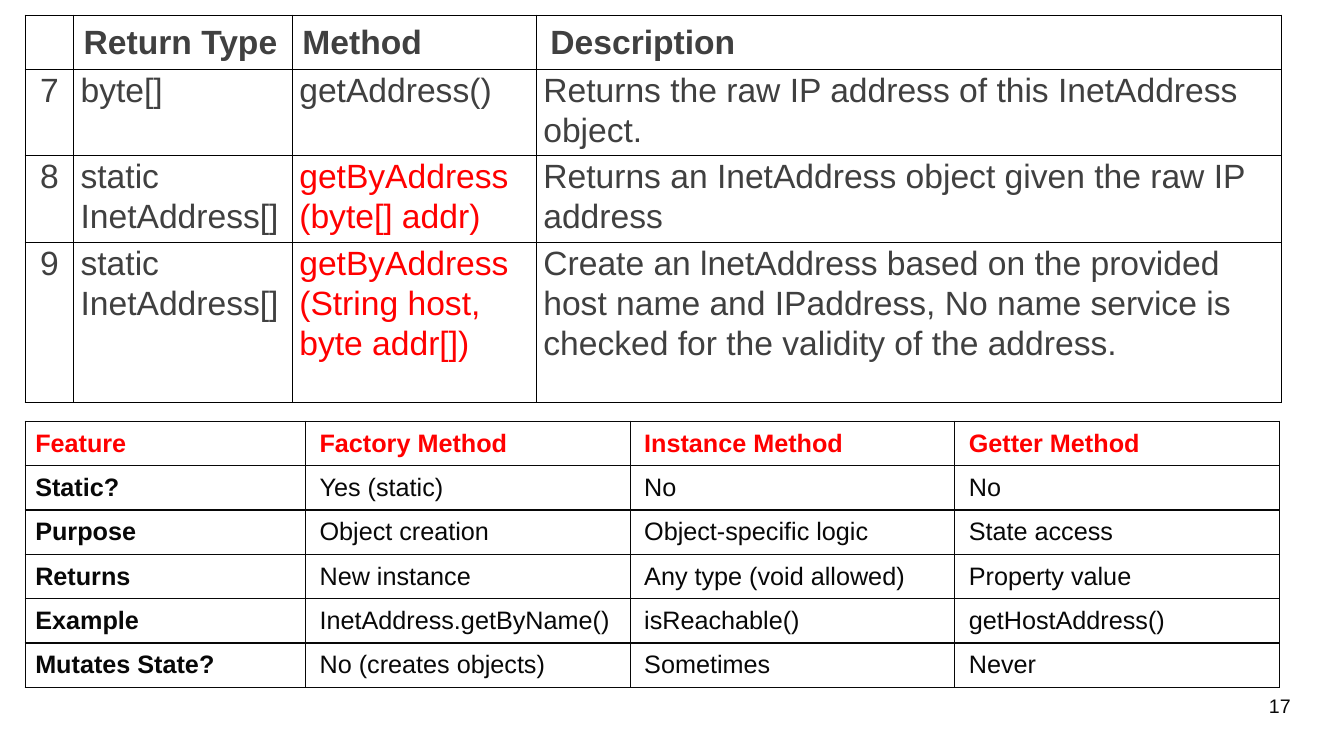
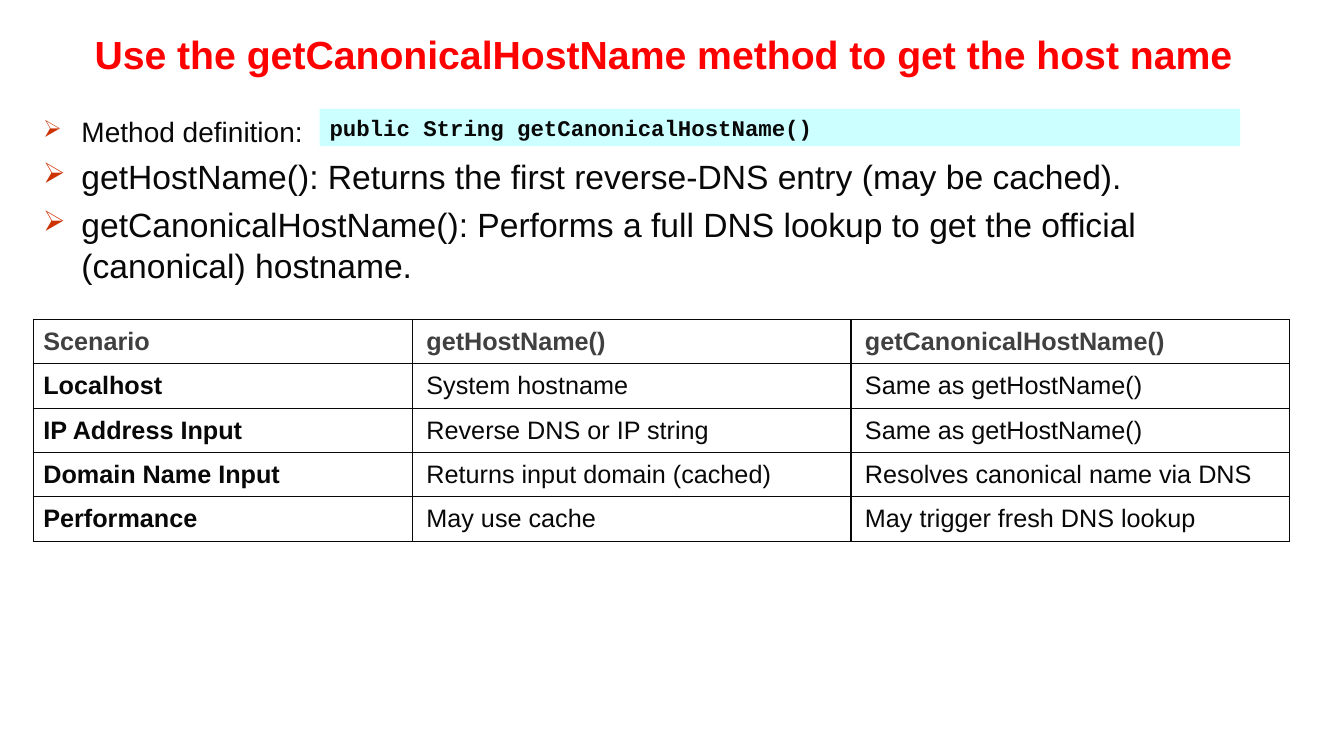
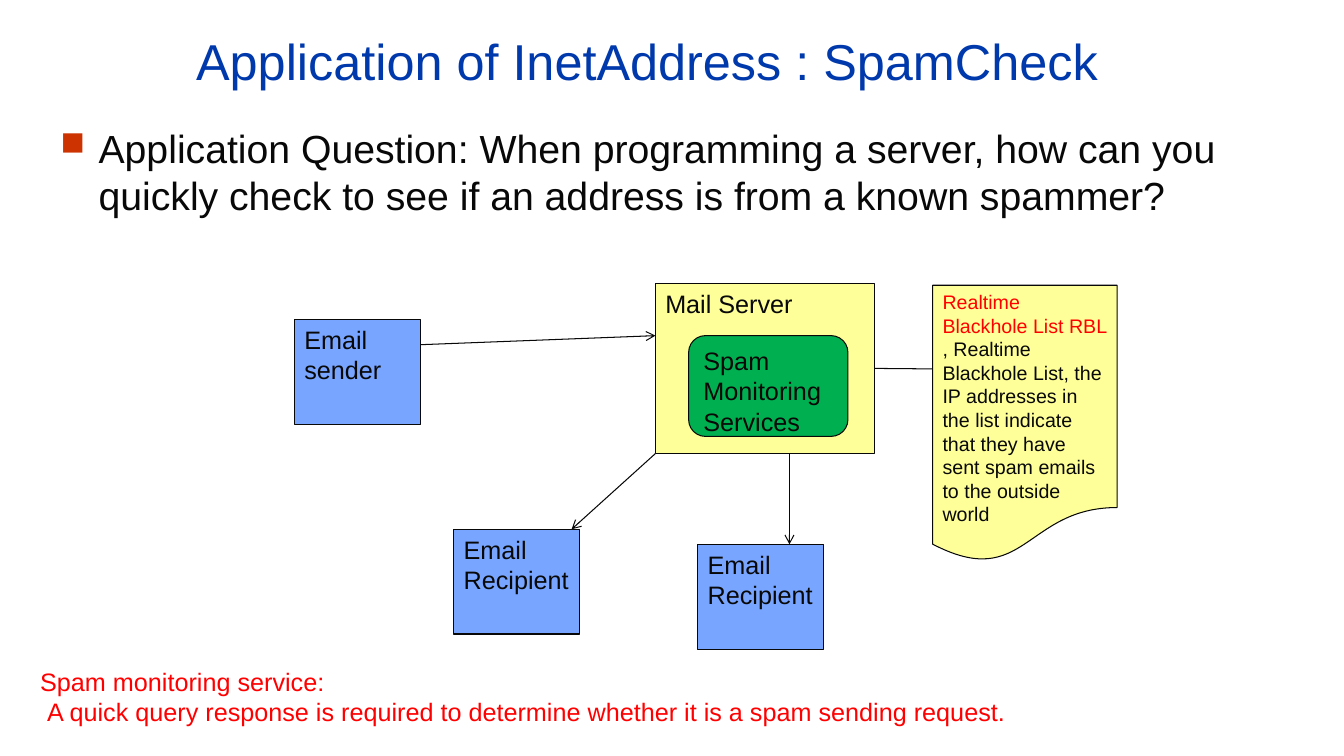
from dataclasses import dataclass

from lxml.etree import SubElement
from pptx import Presentation
from pptx.dml.color import RGBColor
from pptx.enum.shapes import MSO_CONNECTOR, MSO_SHAPE
from pptx.enum.text import MSO_ANCHOR, PP_ALIGN
from pptx.oxml.ns import qn
from pptx.util import Inches, Pt


@dataclass(frozen=True)
class Theme:
    font: str = "Arial"
    code_font: str = "Courier New"
    ink: str = "080808"
    gray: str = "404040"
    black: str = "000000"
    red: str = "FF0000"
    blue: str = "0039AC"
    bullet: str = "CC3300"
    code_fill: str = "CCFFFF"
    server: str = "FFFF99"
    client: str = "78A5FF"
    service: str = "00B050"
    note: int = 14
    code: int = 16
    label: int = 18
    item: int = 20
    large: int = 24
    heading: int = 28
    title: int = 36
    line: float = 0.75
    border: float = 1


T = Theme()
HEADER_INSETS = (0.1, 0.07, 0.14, 0.07)
CELL_INSETS = (0.14, 0.07, 0.14, 0.07)
METHOD_INSETS = (0.07, 0, 0.07, 0)


def rgb(value):
    return RGBColor.from_string(value)


def style(size, color=T.ink, bold=False, name=T.font):
    return {"size": Pt(size), "bold": bold, "name": name, "color": color}


def add_run(p, text, fmt):
    r = p.add_run()
    r.text = text
    for key, value in fmt.items():
        if key == "color":
            r.font.color.rgb = rgb(value)
        else:
            setattr(r.font, key, value)


def write(tf, paragraphs, align=PP_ALIGN.LEFT, spacing=None):
    tf.word_wrap = True
    for i, runs in enumerate(paragraphs):
        p = tf.paragraphs[0] if i == 0 else tf.add_paragraph()
        for key, value in {"alignment": align, "line_spacing": spacing}.items():
            setattr(p, key, value)
        for text, fmt in runs:
            add_run(p, text, fmt)


def add_text(s, box, paragraphs, align=PP_ALIGN.LEFT, anchor=MSO_ANCHOR.TOP):
    tf = s.shapes.add_textbox(*map(Inches, box)).text_frame
    tf.vertical_anchor = anchor
    write(tf, paragraphs, align)
    return tf


def add_box(s, kind, box, fill, runs, line=T.ink):
    sp = s.shapes.add_shape(kind, *map(Inches, box))
    sp.shadow.inherit = False
    sp.fill.solid()
    sp.fill.fore_color.rgb = rgb(fill)
    if line:
        sp.line.color.rgb = rgb(line)
        sp.line.width = Pt(T.line)
    else:
        sp.line.fill.background()
    sp.text_frame.vertical_anchor = MSO_ANCHOR.TOP
    write(sp.text_frame, [runs])
    return sp


def add_line(s, start, end, arrow=True):
    cx = s.shapes.add_connector(MSO_CONNECTOR.STRAIGHT, *map(Inches, start + end))
    cx.line.color.rgb = rgb(T.ink)
    cx.line.width = Pt(T.line)
    spPr = cx._element.spPr
    if arrow:
        SubElement(spPr.find(qn("a:ln")), qn("a:tailEnd"), type="arrow")
    SubElement(spPr, qn("a:effectLst"))
    return cx


def add_bullets(s, box, char, items):
    tf = add_text(s, box, [[] for _ in items])
    tf.margin_top = Inches(0.1)
    for i, (p, (text, size)) in enumerate(zip(tf.paragraphs, items)):
        pPr = p._p.get_or_add_pPr()
        pPr.set("marL", str(Inches(0.38)))
        pPr.set("indent", str(-Inches(0.38)))
        SubElement(SubElement(pPr, qn("a:buClr")), qn("a:srgbClr"), val=T.bullet)
        SubElement(pPr, qn("a:buSzPct"), val="85000")
        SubElement(pPr, qn("a:buChar"), char=char)
        if i:
            p.space_before = Pt(round(size * 0.23, 1))
        add_run(p, text, style(size))


def set_borders(cell, color):
    tcPr = cell._tc.get_or_add_tcPr()
    for side in ("lnL", "lnR", "lnT", "lnB"):
        ln = SubElement(tcPr, qn(f"a:{side}"), w=str(Pt(T.border)))
        SubElement(SubElement(ln, qn("a:solidFill")), qn("a:srgbClr"), val=color)


def add_table(s, at, widths, heights, rows, cell_format, border):
    frame = s.shapes.add_table(len(rows), len(widths), *map(Inches, (*at, sum(widths), sum(heights))))
    table = frame.table
    table.first_row = table.horz_banding = False
    for col, width in zip(table.columns, widths):
        col.width = Inches(width)
    for row, height in zip(table.rows, heights):
        row.height = Inches(height)
    for i, row in enumerate(rows):
        for j, text in enumerate(row):
            cell = table.cell(i, j)
            fmt, insets, anchor, align, spacing = cell_format(i, j)
            sides = ("margin_left", "margin_top", "margin_right", "margin_bottom")
            for side, inset in zip(sides, insets):
                setattr(cell, side, Inches(inset))
            cell.vertical_anchor = anchor
            set_borders(cell, border)
            cell.fill.background()
            write(cell.text_frame, [[(text, fmt)] if text else []], align, spacing)


def method_format(i, j):
    if i == 0:
        insets = CELL_INSETS if j == 3 else HEADER_INSETS
        return style(T.large, T.gray, True), insets, MSO_ANCHOR.MIDDLE, PP_ALIGN.LEFT, None
    color = T.red if j == 2 and i > 1 else T.gray
    align = PP_ALIGN.CENTER if j == 0 else PP_ALIGN.LEFT
    return style(T.large, color), METHOD_INSETS, MSO_ANCHOR.TOP, align, 1.07


def comparison_format(header_color):
    def cell_format(i, j):
        color = T.ink if i else header_color
        insets = CELL_INSETS if j else HEADER_INSETS
        return style(T.label, color, i == 0 or j == 0), insets, MSO_ANCHOR.MIDDLE, PP_ALIGN.LEFT, None
    return cell_format


def add_comparison(s, at, widths, row_height, rows, header_color):
    add_table(s, at, widths, [row_height] * len(rows), rows, comparison_format(header_color), T.ink)


def add_mail_diagram(s, x, y):
    def place(dx, dy, *size):
        return (round(x + dx, 2), round(y + dy, 2), *size)

    label = style(T.label)
    process = MSO_SHAPE.FLOWCHART_PROCESS
    server_w, server_h = 2.17, 1.69
    add_box(s, MSO_SHAPE.FLOWCHART_DOCUMENT, place(6.33, 0.02, 1.83, 2.75), T.server, [
        ("Realtime Blackhole List RBL ", style(T.note, T.red)),
        (", Realtime Blackhole List, the IP addresses in the list indicate that they have "
         "sent spam emails to the outside world", style(T.note))])
    server = add_box(s, process, place(3.58, 0, server_w, server_h), T.server, [("Mail Server", label)])
    clients = [(0, 0.36, "Email sender"), (1.58, 2.44, "Email Recipient"), (4, 2.59, "Email Recipient")]
    for dx, dy, text in clients:
        add_box(s, process, place(dx, dy, 1.25, 1.04), T.client, [(text, label)])
    middle = server_h / 2
    link = add_line(s, place(3.58 + server_w, middle), place(6.33, middle), arrow=False)
    link.begin_connect(server, 3)
    arrows = [((3.58, server_h), (2.75, 2.44)), ((4.91, server_h), (4.91, 2.59)), ((1.25, 0.61), (3.58, 0.52))]
    for start, end in arrows:
        add_line(s, place(*start), place(*end))
    add_box(s, MSO_SHAPE.ROUNDED_RECTANGLE, place(3.91, 0.52, 1.58, 1), T.service,
            [("Spam Monitoring Services", label)])


def add_service_note(s, box):
    red = style(T.label, T.red)
    tf = add_text(s, box, [
        [("Spam monitoring service:", red)],
        [("A quick query response is required to determine whether it is a spam sending request.", red)]])
    tf.paragraphs[1]._p.get_or_add_pPr().set("marL", str(Inches(0.07)))


def build_methods(s):
    add_text(s, (9.56, 6.83, 3.34, 0.52), [[("17", style(T.note))]], PP_ALIGN.RIGHT)
    add_table(s, (0.25, 0.15), (0.48, 2.17, 2.42, 7.39), (0.52, 0.8, 0.79, 1.59), [
        ("", "Return Type", "Method", "Description"),
        ("7", "byte[]", "getAddress()", "Returns the raw IP address of this InetAddress object."),
        ("8", "static InetAddress[]", "getByAddress (byte[] addr)",
         "Returns an InetAddress object given the raw IP address"),
        ("9", "static InetAddress[]", "getByAddress (String host, byte addr[])",
         "Create an lnetAddress based on the provided host name and IPaddress, "
         "No name service is checked for the validity of the address."),
    ], method_format, T.black)
    add_comparison(s, (0.25, 4.18), (2.78, 3.22, 3.22, 3.22), 0.42, [
        ("Feature", "Factory Method", "Instance Method", "Getter Method"),
        ("Static?", "Yes (static)", "No", "No"),
        ("Purpose", "Object creation", "Object-specific logic", "State access"),
        ("Returns", "New instance", "Any type (void allowed)", "Property value"),
        ("Example", "InetAddress.getByName()", "isReachable()", "getHostAddress()"),
        ("Mutates State?", "No (creates objects)", "Sometimes", "Never"),
    ], T.red)


def build_host_name(s):
    add_bullets(s, (0.33, 1.04, 12.75, 6.25), "➢", [
        ("Method definition:", T.item),
        ("getHostName(): Returns the first reverse-DNS entry (may be cached).", T.large),
        ("getCanonicalHostName(): Performs a full DNS lookup to get the official (canonical) hostname.",
         T.large),
    ])
    add_box(s, MSO_SHAPE.RECTANGLE, (3.17, 1.08, 9.13, 0.37), T.code_fill,
            [("public String getCanonicalHostName()", style(T.code, bold=True, name=T.code_font))], None)
    add_text(s, (0.08, 0.25, 13, 0.57),
             [[("Use the getCanonicalHostName method to get the host name", style(T.heading, T.red, True))]],
             PP_ALIGN.CENTER)
    add_comparison(s, (0.33, 3.17), (3.76, 4.35, 4.35), 0.44, [
        ("Scenario", "getHostName()", "getCanonicalHostName()"),
        ("Localhost", "System hostname", "Same as getHostName()"),
        ("IP Address Input", "Reverse DNS or IP string", "Same as getHostName()"),
        ("Domain Name Input", "Returns input domain (cached)", "Resolves canonical name via DNS"),
        ("Performance", "May use cache", "May trigger fresh DNS lookup"),
    ], T.gray)


def build_spam_check(s):
    add_text(s, (1.75, 0.14, 9.34, 0.92),
             [[("Application of InetAddress : SpamCheck", style(T.title, T.blue))]],
             PP_ALIGN.CENTER, MSO_ANCHOR.MIDDLE)
    add_bullets(s, (0.5, 1.13, 12.33, 1.5), "■", [
        ("Application Question: When programming a server, how can you quickly check "
         "to see if an address is from a known spammer?", T.heading)])
    add_mail_diagram(s, 2.92, 2.81)
    add_service_note(s, (0.3, 6.56, 9.9, 0.71))


def main():
    prs = Presentation()
    prs.slide_width, prs.slide_height = Inches(13.33), Inches(7.5)
    for build in (build_methods, build_host_name, build_spam_check):
        build(prs.slides.add_slide(prs.slide_layouts[6]))
    prs.save("out.pptx")


if __name__ == "__main__":
    main()
